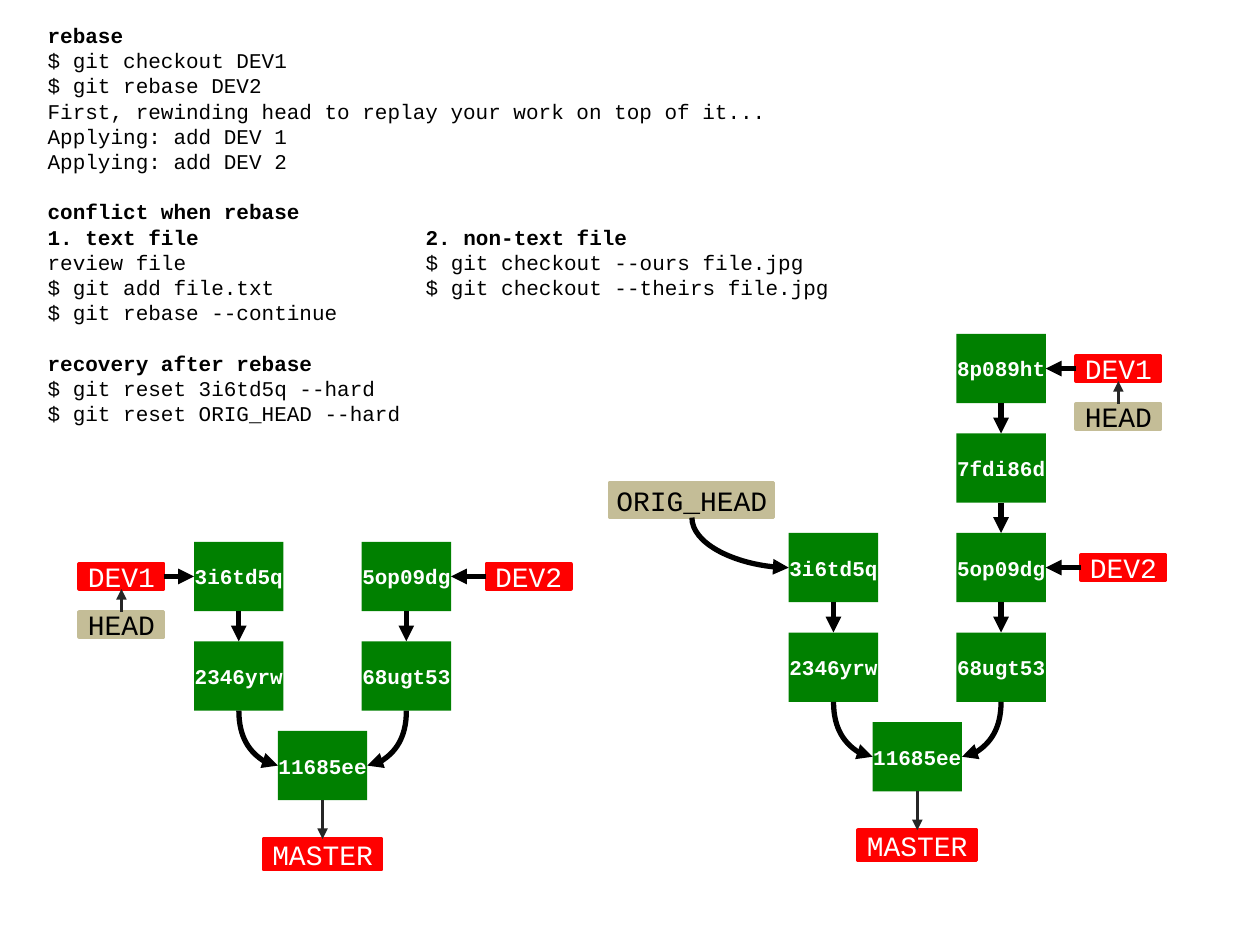
import dataclasses

import pptx
import pptx.dml.color
import pptx.enum.shapes
import pptx.enum.text
import pptx.oxml
import pptx.oxml.ns
import pptx.util

FONT = "Courier New"
GREEN, RED, TAN = "008000", "FF0000", "C4BD97"
BLACK, WHITE, GRAY = "000000", "FFFFFF", "262626"
TOP, LEFT, BOTTOM, RIGHT = range(4)
COMMIT_WIDTH, COMMIT_HEIGHT = 0.71, 0.55
COLUMN, ROW = 1.33, 0.79
TAG_SIZE = (0.67, 0.2)

SECTIONS = [
    ("rebase", [
        "$ git checkout DEV1",
        "$ git rebase DEV2",
        "First, rewinding head to replay your work on top of it...",
        "Applying: add DEV 1",
        "Applying: add DEV 2",
    ]),
    ("conflict when rebase\n1. text file\t2. non-text file", [
        "review file\t$ git checkout --ours file.jpg",
        "$ git add file.txt\t$ git checkout --theirs file.jpg",
        "$ git rebase --continue",
    ]),
    ("recovery after rebase", [
        "$ git reset 3i6td5q --hard",
        "$ git reset ORIG_HEAD --hard",
    ]),
]


@dataclasses.dataclass
class Grid:
    left: float
    top: float

    def center(self, column, row):
        return (self.left + column * COLUMN + COMMIT_WIDTH / 2,
                self.top + row * ROW + COMMIT_HEIGHT / 2)


def color(value):
    return pptx.dml.color.RGBColor.from_string(value)


def add_run(paragraph, text, size, text_color, bold=False):
    run = paragraph.add_run()
    run.text = text
    run.font.name = FONT
    run.font.size = pptx.util.Pt(size)
    run.font.bold = bold
    run.font.color.rgb = color(text_color)


def add_block(slide, center, size, text, fill, text_color, text_size, bold=False):
    x, y = center
    width, height = size
    shape = slide.shapes.add_shape(
        pptx.enum.shapes.MSO_SHAPE.RECTANGLE,
        *map(pptx.util.Inches, (x - width / 2, y - height / 2, width, height)))
    shape.shadow.inherit = False
    shape.fill.solid()
    shape.fill.fore_color.rgb = color(fill)
    shape.line.fill.background()
    frame = shape.text_frame
    frame.margin_left = frame.margin_right = 0
    frame.vertical_anchor = pptx.enum.text.MSO_ANCHOR.MIDDLE
    paragraph = frame.paragraphs[0]
    paragraph.alignment = pptx.enum.text.PP_ALIGN.CENTER
    add_run(paragraph, text, text_size, text_color, bold)
    return shape


def add_commit(slide, grid, column, row, name):
    return add_block(slide, grid.center(column, row), (COMMIT_WIDTH, COMMIT_HEIGHT),
                     name, GREEN, WHITE, 12, True)


def add_tag(slide, center, text, fill=RED, size=TAG_SIZE):
    text_color = WHITE if fill == RED else BLACK
    shape = add_block(slide, center, size, text, fill, text_color, 16)
    shape.line.color.rgb = color(fill)
    shape.line.width = pptx.util.Pt(2)
    return shape


def add_arrow(slide, start, start_side, end, end_side, line_color=BLACK, width=3):
    connector = slide.shapes.add_connector(
        pptx.enum.shapes.MSO_CONNECTOR.STRAIGHT, 0, 0, 0, 0)
    connector.begin_connect(start, start_side)
    connector.end_connect(end, end_side)
    connector.line.color.rgb = color(line_color)
    connector.line.width = pptx.util.Pt(width)
    properties = connector.element.spPr
    line = properties.find(pptx.oxml.ns.qn("a:ln"))
    line.append(pptx.oxml.parse_xml(
        f'<a:tailEnd {pptx.oxml.ns.nsdecls("a")} type="triangle"/>'))
    properties.append(pptx.oxml.parse_xml(
        f'<a:effectLst {pptx.oxml.ns.nsdecls("a")}/>'))
    return connector


def add_curve(slide, start, end, end_side):
    connector = add_arrow(slide, start, BOTTOM, end, end_side)
    begin_x, begin_y = connector.begin_x, connector.begin_y
    end_x, end_y = connector.end_x, connector.end_y
    across, down = abs(end_x - begin_x), end_y - begin_y
    connector.left = (begin_x + end_x - down) // 2
    connector.top = (begin_y + end_y - across) // 2
    connector.width, connector.height = down, across
    properties = connector.element.spPr
    properties.find(pptx.oxml.ns.qn("a:prstGeom")).set("prst", "curvedConnector2")
    transform = properties.find(pptx.oxml.ns.qn("a:xfrm"))
    for flip in ("flipH", "flipV"):
        transform.attrib.pop(flip, None)
    if end_x > begin_x:
        transform.set("rot", "16200000")
        transform.set("flipH", "1")
    else:
        transform.set("rot", "5400000")


def add_branch(slide, grid, column, first_row, names):
    commits = [add_commit(slide, grid, column, first_row + index, name)
               for index, name in enumerate(names)]
    for newer, older in zip(commits, commits[1:]):
        add_arrow(slide, newer, BOTTOM, older, TOP)
    return commits


def add_fork(slide, grid, first_row, left_names, right_names):
    last_row = first_row + len(left_names) - 1
    left_branch = add_branch(slide, grid, 0, first_row, left_names)
    right_branch = add_branch(slide, grid, 1, last_row + 1 - len(right_names), right_names)
    base = add_commit(slide, grid, 0.5, last_row + 0.9, "11685ee")
    add_curve(slide, left_branch[-1], base, LEFT)
    add_curve(slide, right_branch[-1], base, RIGHT)
    master = add_tag(slide, grid.center(0.5, last_row + 1.79), "MASTER", size=(0.94, 0.24))
    add_arrow(slide, base, BOTTOM, master, TOP, GRAY, 2)
    return left_branch, right_branch


def add_pointer(slide, grid, column, row, commit, text, has_head=False):
    center = grid.center(column, row)
    tag = add_tag(slide, center, text)
    if column < 0:
        add_arrow(slide, tag, RIGHT, commit, LEFT)
    else:
        add_arrow(slide, tag, LEFT, commit, RIGHT)
    if has_head:
        head = add_tag(slide, (center[0], center[1] + 0.38), "HEAD", TAN)
        add_arrow(slide, head, TOP, tag, BOTTOM, GRAY, 2)


def add_commands(slide, left, top, width, height):
    frame = slide.shapes.add_textbox(
        *map(pptx.util.Inches, (left, top, width, height))).text_frame
    frame.word_wrap = True
    paragraph = frame.paragraphs[0]
    for index, (heading, commands) in enumerate(SECTIONS):
        headings = heading.split("\n")
        for position, text in enumerate(headings + commands):
            if index or position:
                paragraph = frame.add_paragraph()
            if index and not position:
                paragraph.space_before = pptx.util.Pt(14.4)
            if "\t" in text:
                paragraph._p.get_or_add_pPr().append(pptx.oxml.parse_xml(
                    f'<a:tabLst {pptx.oxml.ns.nsdecls("a")}>'
                    f'<a:tab pos="{pptx.util.Inches(3)}" algn="l"/></a:tabLst>'))
            add_run(paragraph, text, 12, BLACK, position < len(headings))


def add_before_graph(slide, left, top):
    grid = Grid(left, top)
    first, second = add_fork(slide, grid, 0, ["3i6td5q", "2346yrw"], ["5op09dg", "68ugt53"])
    add_pointer(slide, grid, -0.7, 0, first[0], "DEV1", True)
    add_pointer(slide, grid, 1.73, 0, second[0], "DEV2")


def add_after_graph(slide, left, top):
    grid = Grid(left, top)
    first, second = add_fork(slide, grid, 2, ["3i6td5q", "2346yrw"],
                             ["8p089ht", "7fdi86d", "5op09dg", "68ugt53"])
    add_pointer(slide, grid, 1.7, 0, second[0], "DEV1", True)
    add_pointer(slide, grid, 1.73, 2, second[2], "DEV2")
    original = add_tag(slide, grid.center(-0.845, 1.32), "ORIG_HEAD", TAN, (1.3, 0.28))
    add_curve(slide, original, first[0], LEFT)


def main():
    presentation = pptx.Presentation()
    presentation.slide_width = pptx.util.Inches(10)
    presentation.slide_height = pptx.util.Inches(7.5)
    slide = presentation.slides.add_slide(presentation.slide_layouts[6])
    add_commands(slide, 0.28, 0.13, 7.8, 3.64)
    add_before_graph(slide, 1.54, 4.3)
    add_after_graph(slide, 6.26, 2.65)
    presentation.save("out.pptx")


if __name__ == "__main__":
    main()
